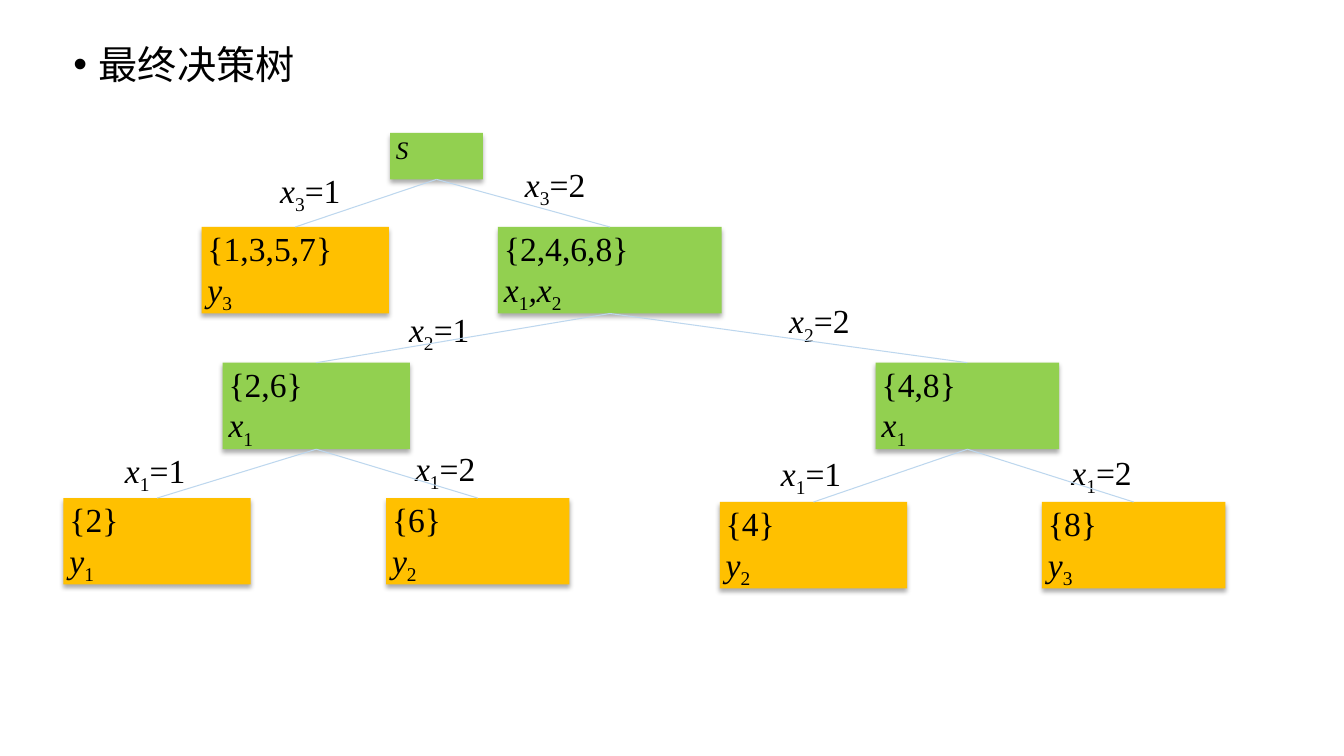
from lxml import etree
from pptx import Presentation
from pptx.dml.color import RGBColor
from pptx.enum.shapes import MSO_CONNECTOR, MSO_SHAPE
from pptx.enum.text import MSO_ANCHOR, PP_ALIGN
from pptx.oxml.ns import qn
from pptx.util import Cm, Pt

BLACK = RGBColor(0x00, 0x00, 0x00)
GREEN = RGBColor(0x92, 0xD0, 0x50)
ORANGE = RGBColor(0xFF, 0xC0, 0x00)
PALE_BLUE = RGBColor(0xBD, 0xD7, 0xEE)
RECTANGLE = MSO_SHAPE.RECTANGLE
STRAIGHT = MSO_CONNECTOR.STRAIGHT
TOP = MSO_ANCHOR.TOP
LEFT = PP_ALIGN.LEFT
JUSTIFY = PP_ALIGN.JUSTIFY
TITLE_FONT = "Noto Sans CJK SC"
FORMULA_FONT = "Times New Roman"
TOP_SITE, BOTTOM_SITE = 0, 2
NODE_HEIGHT = 2.18
LABEL_WIDTH = 2.95

NODES = {
    "root": (9.83, 3.35, 2.34, 1.17, GREEN, ["S"], 18),
    "odd": (5.08, 5.72, 4.72, NODE_HEIGHT, ORANGE, ["{1,3,5,7}", "y_3"], 24),
    "even": (12.55, 5.72, 5.64, NODE_HEIGHT, GREEN, ["{2,4,6,8}", "x_1,x_2"], 24),
    "two_six": (5.61, 9.14, 4.72, NODE_HEIGHT, GREEN, ["{2,6}", "x_1"], 24),
    "four_eight": (22.07, 9.14, 4.62, NODE_HEIGHT, GREEN, ["{4,8}", "x_1"], 24),
    "two": (1.6, 12.55, 4.72, NODE_HEIGHT, ORANGE, ["{2}", "y_1"], 24),
    "six": (9.73, 12.55, 4.62, NODE_HEIGHT, ORANGE, ["{6}", "y_2"], 24),
    "four": (18.14, 12.65, 4.72, NODE_HEIGHT, ORANGE, ["{4}", "y_2"], 24),
    "eight": (26.26, 12.65, 4.62, NODE_HEIGHT, ORANGE, ["{8}", "y_3"], 24),
}

BRANCHES = [
    ("root", "odd", "x_3=1", 6.91, 4.24),
    ("root", "even", "x_3=2", 13.08, 4.09),
    ("even", "two_six", "x_2=1", 10.16, 7.75),
    ("even", "four_eight", "x_2=2", 19.74, 7.54),
    ("two_six", "two", "x_1=1", 3, 11.3),
    ("two_six", "six", "x_1=2", 10.31, 11.25),
    ("four_eight", "four", "x_1=1", 19.53, 11.38),
    ("four_eight", "eight", "x_1=2", 26.85, 11.35),
]


def add_span(para, text, size, subscript=False):
    """Add formula text, with variables in italics and indices lowered."""
    span = para.add_run()
    span.text = text
    span.font.name = FORMULA_FONT
    span.font.size = Pt(size)
    span.font.color.rgb = BLACK
    span.font.italic = any(letter.isalpha() for letter in text)
    if subscript:
        span.font._element.set("baseline", "-25000")


def write_formulas(box, formulas, size, alignment):
    """Write one formula a line, where an underscore lowers the next character."""
    frame = box.text_frame
    frame.word_wrap = True
    frame.vertical_anchor = TOP
    frame.margin_left = frame.margin_right = Cm(0.15)
    frame.margin_top = frame.margin_bottom = Cm(0.03)
    for index, formula in enumerate(formulas):
        para = frame.add_paragraph() if index else frame.paragraphs[0]
        para.alignment = alignment
        first, *pieces = formula.split("_")
        add_span(para, first, size)
        for piece in pieces:
            add_span(para, piece[0], size, subscript=True)
            if piece[1:]:
                add_span(para, piece[1:], size)


def add_soft_shadow(shape):
    """Give a shape a soft shadow that falls straight down."""
    shape.shadow.inherit = False
    effects = shape._element.spPr.find(qn("a:effectLst"))
    shadow = etree.SubElement(effects, qn("a:outerShdw"), blurRad=str(Pt(3.5)),
                              dist=str(Pt(2.2)), dir="5400000", rotWithShape="0")
    color = etree.SubElement(shadow, qn("a:srgbClr"), val=str(BLACK))
    etree.SubElement(color, qn("a:alpha"), val="32000")


def add_node(page, left, top, width, height, fill, formulas, size):
    """Add a tree node and return it."""
    node = page.shapes.add_shape(RECTANGLE, Cm(left), Cm(top), Cm(width), Cm(height))
    node.fill.solid()
    node.fill.fore_color.rgb = fill
    node.line.fill.background()
    add_soft_shadow(node)
    write_formulas(node, formulas, size, LEFT)
    return node


def add_branch(page, parent, child):
    """Join the bottom of a parent to the top of its child."""
    branch = page.shapes.add_connector(STRAIGHT, 0, 0, 0, 0)
    branch.begin_connect(parent, BOTTOM_SITE)
    branch.end_connect(child, TOP_SITE)
    branch.line.color.rgb = PALE_BLUE
    branch.line.width = Pt(0.75)
    etree.SubElement(branch._element.spPr, qn("a:effectLst"))


def add_label(page, formula, left, top):
    """Add the condition of a branch."""
    box = page.shapes.add_textbox(Cm(left), Cm(top), Cm(LABEL_WIDTH), Cm(1.1))
    write_formulas(box, [formula], 24, JUSTIFY)


def add_title(page, text):
    """Add the bulleted heading."""
    box = page.shapes.add_textbox(Cm(1.6), Cm(1.02), Cm(9.07), Cm(1.4))
    box.text_frame.word_wrap = True
    para = box.text_frame.paragraphs[0]
    para.text = text
    properties = para._p.get_or_add_pPr()
    properties.set("marL", str(Cm(0.64)))
    properties.set("indent", str(Cm(-0.64)))
    etree.SubElement(properties, qn("a:buFont"), typeface="Arial")
    etree.SubElement(properties, qn("a:buChar"), char="•")
    para.line_spacing = 0.9
    font = para.runs[0].font
    font.size = Pt(28)
    font.color.rgb = BLACK
    font.name = TITLE_FONT
    etree.SubElement(font._element, qn("a:ea"), typeface=TITLE_FONT)


def main():
    """Build the decision tree slide."""
    deck = Presentation()
    deck.slide_width, deck.slide_height = Cm(33.87), Cm(19.05)
    page = deck.slides.add_slide(deck.slide_layouts[6])
    add_title(page, "最终决策树")
    nodes = {name: add_node(page, *node) for name, node in NODES.items()}
    for parent, child, formula, left, top in BRANCHES:
        add_label(page, formula, left, top)
        add_branch(page, nodes[parent], nodes[child])
    deck.save("out.pptx")


if __name__ == "__main__":
    main()
